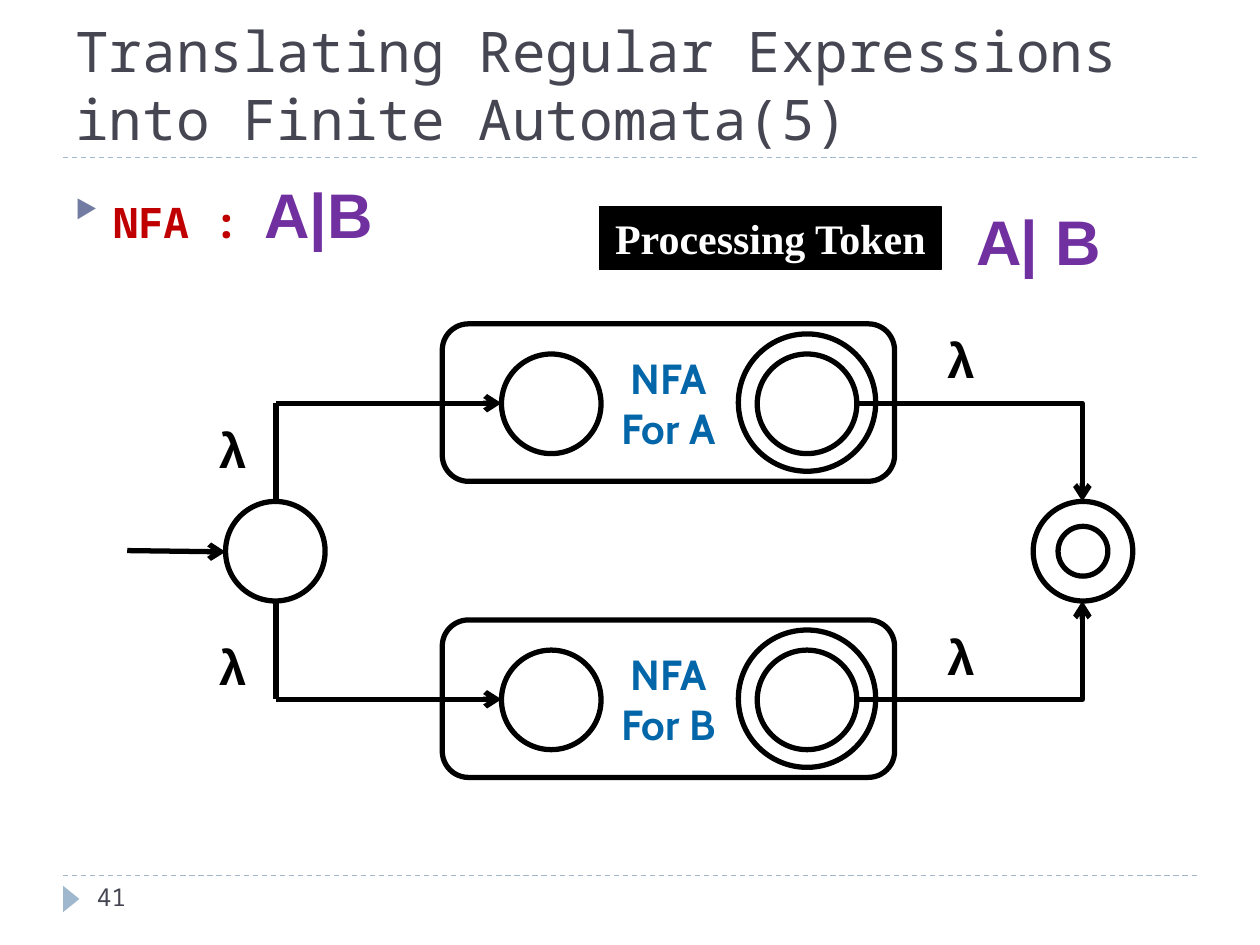
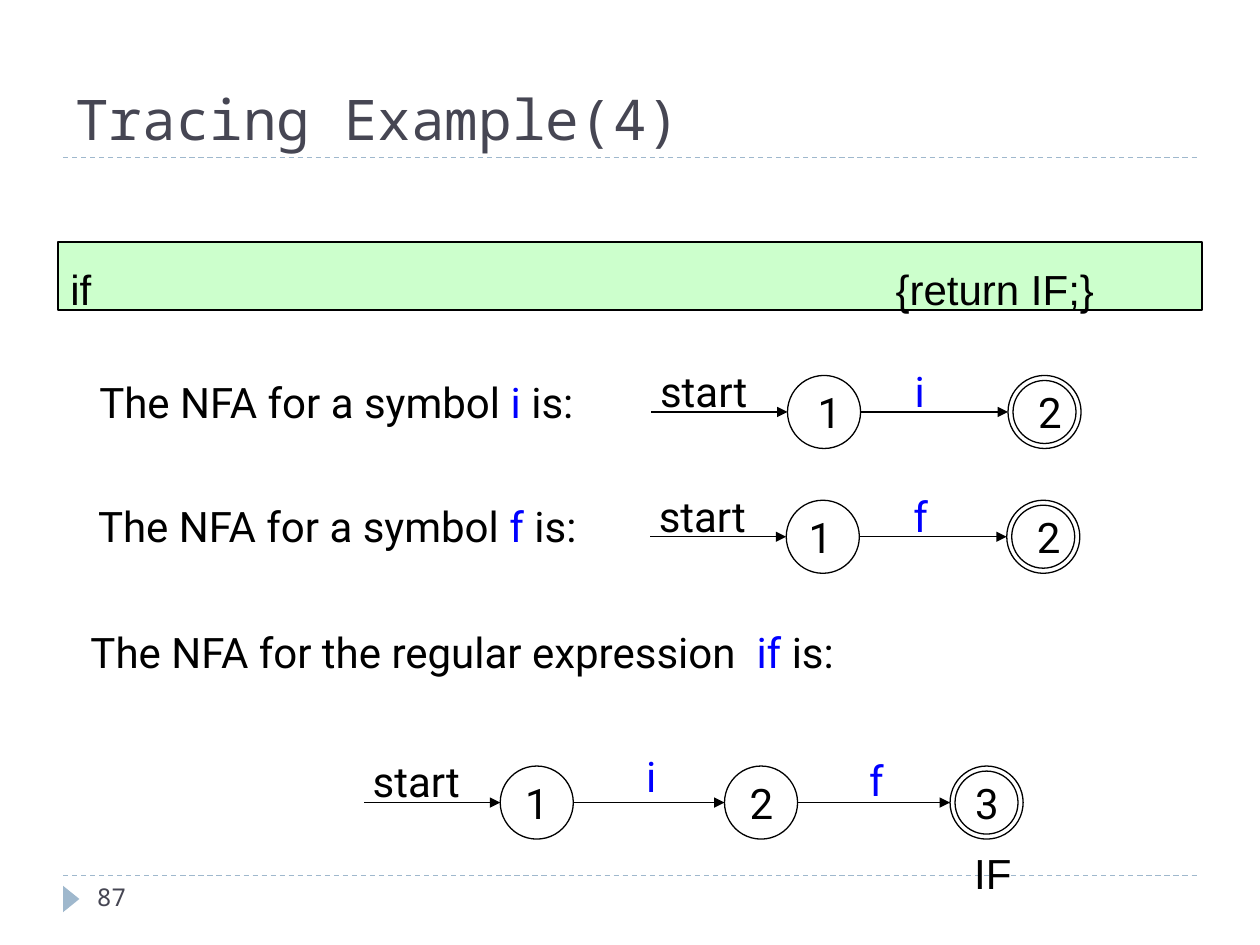
"""Build two slides on turning regular expressions into finite automata."""
from lxml import etree
from pptx import Presentation
from pptx import util as u
from pptx.dml.color import RGBColor
from pptx.enum import dml, shapes, text
from pptx.oxml.ns import qn

Inches, Pt = u.Inches, u.Pt
SHAPE, LINK = shapes.MSO_SHAPE, shapes.MSO_CONNECTOR
ANCHOR, ALIGN = text.MSO_ANCHOR, text.PP_ALIGN

BLACK = RGBColor(0x00, 0x00, 0x00)
WHITE = RGBColor(0xFF, 0xFF, 0xFF)
SLATE = RGBColor(0x46, 0x46, 0x53)
MIST = RGBColor(0x9F, 0xB8, 0xCD)
RED = RGBColor(0xC0, 0x00, 0x00)
PURPLE = RGBColor(0x70, 0x30, 0xA0)
TEAL = RGBColor(0x03, 0x66, 0xA9)
BLUE = RGBColor(0x00, 0x00, 0xFF)
GREEN = RGBColor(0xCC, 0xFF, 0xCC)
MONO = "Noto Sans Mono"


def add(s, kind, at, paras=(), fill=None, line=None, anchor=None, align=None, wrap=True):
    """Add a preset shape, or a text box when kind is None; runs are (text, size, font, colour, bold)."""
    box = [Inches(v) for v in at]
    if kind is None:
        sp = s.shapes.add_textbox(*box)
    else:
        sp = s.shapes.add_shape(kind, *box)
        sp.shadow.inherit = False
        if fill is None:
            sp.fill.background()
        else:
            sp.fill.solid()
            sp.fill.fore_color.rgb = fill
        if line is None:
            sp.line.fill.background()
        else:
            sp.line.color.rgb = BLACK
            sp.line.width = Pt(line)
    tf = sp.text_frame
    tf.word_wrap = wrap
    if not wrap:
        tf.auto_size = text.MSO_AUTO_SIZE.SHAPE_TO_FIT_TEXT
    if anchor is not None:
        tf.vertical_anchor = anchor
    for i, runs in enumerate(paras):
        p = tf.add_paragraph() if i else tf.paragraphs[0]
        p.alignment = align
        for words, size, font, color, bold in runs:
            for j, part in enumerate(words.split("\n")):
                if j:
                    p.add_line_break()
                r = p.add_run()
                r.text = part
                r.font.size, r.font.name, r.font.bold = Pt(size), font, bold
                r.font.color.rgb = color
    return sp


def link(s, x1, y1, x2, y2, width, color=BLACK, head=None, kind=LINK.STRAIGHT):
    """Join two points with a line, with an optional arrowhead at the end."""
    c = s.shapes.add_connector(kind, *[Inches(v) for v in (x1, y1, x2, y2)])
    c.line.color.rgb = color
    c.line.width = Pt(width)
    spPr = c._element.spPr
    if head:
        etree.SubElement(spPr.find(qn("a:ln")), qn("a:tailEnd"), type=head)
    if kind == LINK.ELBOW:
        spPr.find(qn("a:prstGeom")).set("prst", "bentConnector2")
    etree.SubElement(spPr, qn("a:effectLst"))
    return c


prs = Presentation()
prs.slide_width, prs.slide_height = Inches(10), Inches(7.5)

slides = []
for title, number in (
    ("Translating Regular Expressions \ninto Finite Automata(5)", "41"),
    ("Tracing Example(4)", "87"),
):
    s = prs.slides.add_slide(prs.slide_layouts[6])
    for y in (6.95, 1.25):
        rule = link(s, 0.5, y, 9.5, y, 0.75, MIST)
        rule.line.dash_style = dml.MSO_LINE.DASH
    marker = add(s, SHAPE.ISOSCELES_TRIANGLE, (0.46, 7.07, 0.21, 0.13), fill=MIST)
    marker.rotation = 90
    add(s, None, (0.5, 0.17, 9, 1.08), [[(title, 32, MONO, SLATE, False)]], anchor=ANCHOR.BOTTOM)
    add(s, None, (0.67, 6.95, 2.17, 0.4), [[(number, 14, MONO, SLATE, False)]])
    slides.append(s)

s = slides[0]
sp = add(s, None, (0.5, 1.34, 4, 0.75),
         [[("NFA : ", 24, MONO, RED, True), ("Α|Β", 36, "Arial", PURPLE, True)]])
pPr = sp.text_frame.paragraphs[0]._p.get_or_add_pPr()
pPr.set("marL", str(Inches(0.3)))
pPr.set("indent", str(-Inches(0.3)))
etree.SubElement(etree.SubElement(pPr, qn("a:buClr")), qn("a:srgbClr"), val="727CA3")
etree.SubElement(pPr, qn("a:buSzPct"), val="60000")
etree.SubElement(pPr, qn("a:buChar"), char="▶")

add(s, SHAPE.RECTANGLE, (4.76, 1.64, 2.71, 0.5),
    [[("Processing Token", 24, "Times New Roman", WHITE, True)]],
    fill=BLACK, line=0.75, align=ALIGN.CENTER, wrap=False)
for token, x, w in (("Α", 7.65, 0.58), ("|", 8, 0.4), ("Β", 8.28, 0.54)):
    add(s, None, (x, 1.56, w, 0.7), [[(token, 36, "Arial", PURPLE, True)]], wrap=False)

D, MID = 0.79, 4.38
add(s, SHAPE.OVAL, (1.79, 3.98, D, D), fill=WHITE, line=3)
add(s, SHAPE.DONUT, (8.2, 3.98, D, D), fill=WHITE, line=3)
link(s, 1.01, 4.37, 1.79, MID, 3, head="arrow")
for letter, y, edge, lambda_y in (("A", 3.2, 3.98, 3.28), ("B", 5.55, 4.77, 5)):
    add(s, SHAPE.ROUNDED_RECTANGLE, (3.51, y - 0.63, 3.59, 1.25),
        [[(words, 24, "Cabin", TEAL, True)] for words in ("NFA", "For " + letter)],
        line=3, anchor=ANCHOR.MIDDLE, align=ALIGN.CENTER)
    add(s, SHAPE.OVAL, (5.86, y - 0.55, 1.09, 1.09), line=3)
    for x in (3.98, 6.01):
        add(s, SHAPE.OVAL, (x, y - 0.39, D, D), fill=WHITE, line=3)
    link(s, 2.19, edge, 2.19, y, 3)
    link(s, 2.19, y, 3.98, y, 3, head="arrow")
    link(s, 6.8, y, 8.59, edge, 3, head="arrow", kind=LINK.ELBOW)
    for x, top in ((1.64, lambda_y), (7.42, y - 0.63)):
        add(s, None, (x, top, 0.41, 0.57), [[("λ", 28, "Arial", BLACK, True)]], wrap=False)

s = slides[1]
sp = add(s, SHAPE.RECTANGLE, (0.46, 1.92, 9.08, 0.54),
         [[("if\t{return IF;}", 24, "Arial", BLACK, False)]],
         fill=GREEN, line=0.75, anchor=ANCHOR.MIDDLE, align=ALIGN.LEFT)
p = sp.text_frame.paragraphs[0]
p.line_spacing = 1.5
tabs = etree.SubElement(p._p.get_or_add_pPr(), qn("a:tabLst"))
etree.SubElement(tabs, qn("a:tab"), pos=str(Inches(6.55)), algn="l")

for x, y, w, before, symbol, after in (
    (0.69, 2.94, 4.13, "The NFA for a symbol ", "i", " is:"),
    (0.68, 3.92, 4.16, "The NFA for a symbol ", "f", " is:"),
    (0.62, 4.92, 6.47, "The NFA for the regular expression ", " if ", "is:"),
):
    parts = ((before, BLACK), (symbol, BLUE), (after, BLACK))
    add(s, None, (x, y, w, 0.5),
        [[(words, 24, "Roboto", color, False) for words, color in parts]], wrap=False)

R = 0.29
for y, states, symbols in (
    (3.27, ((6.25, 0.14), (8, 0.14)), (("i", 7.16, 2.85, 0.28),)),
    (4.26, ((6.24, 0.08), (7.99, 0.14)), (("f", 7.15, 3.84, 0.31),)),
    (6.37, ((3.97, 0.1), (5.75, 0.1), (7.54, 0.1)),
     (("i", 5.03, 5.91, 0.28), ("f", 6.8, 5.94, 0.31))),
):
    tail = states[0][0] - 1.08
    labels = [("start", tail - 0.03, y - 0.42, 0.92, BLACK)]
    labels += [(*symbol, BLUE) for symbol in symbols]
    for n, (x, shift) in enumerate(states, 1):
        link(s, tail, y, x, y, 0.75, head="triangle")
        add(s, SHAPE.OVAL, (x, y - R, 2 * R, 2 * R), line=0.75)
        labels.append((str(n), x + shift, y - 0.25, 0.39, BLACK))
        tail = x + 2 * R
    add(s, SHAPE.OVAL, (x + 0.04, y - 0.25, 0.5, 0.5), line=0.75)
    for words, left, top, w, color in labels:
        add(s, None, (left, top, w, 0.5), [[(words, 24, "Roboto", color, False)]], wrap=False)
add(s, None, (7.48, 6.68, 0.8, 0.5), [[("IF", 24, "Arial", BLACK, False)]],
    anchor=ANCHOR.MIDDLE, align=ALIGN.CENTER)

prs.save("out.pptx")
